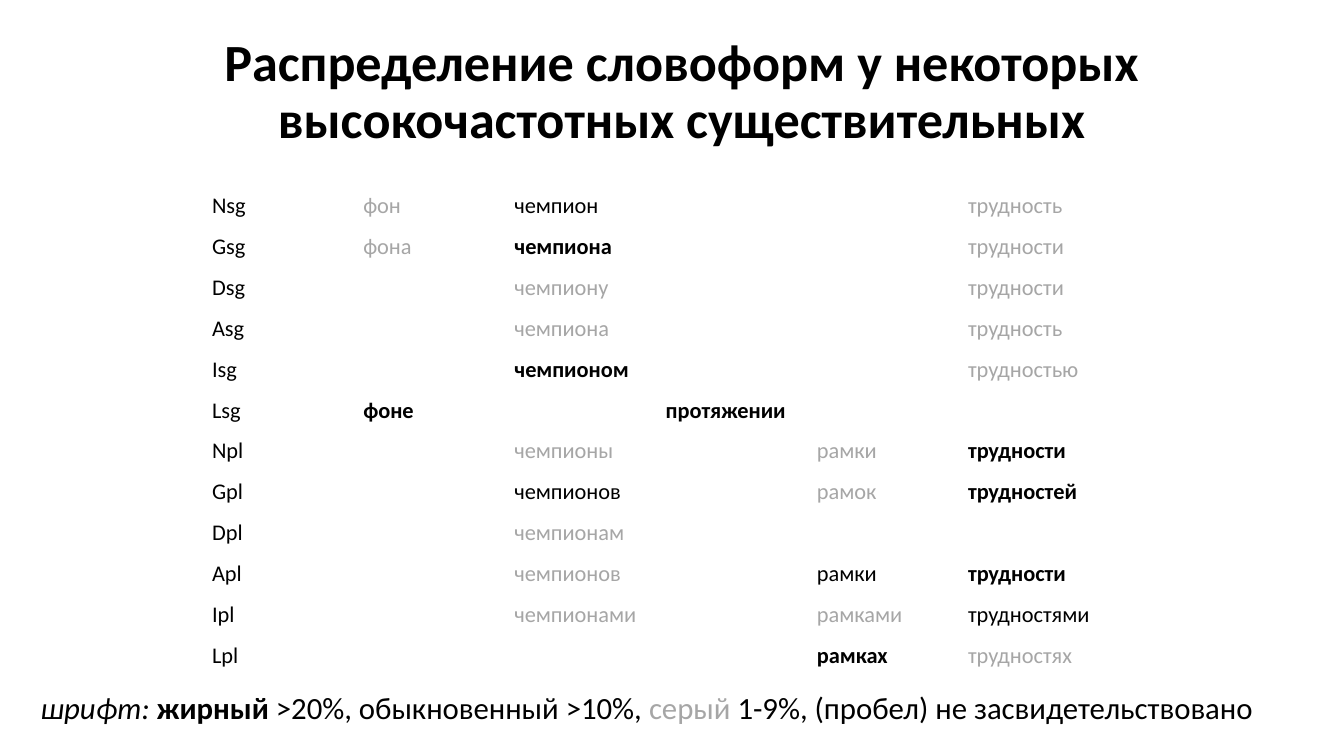
"""Builds a slide with the distribution of word forms of some frequent Russian nouns."""
from pptx import Presentation
from pptx.dml.color import RGBColor
from pptx.enum.text import MSO_ANCHOR as Anchor, PP_ALIGN as Align
from pptx.util import Pt

BLACK = RGBColor(0x00, 0x00, 0x00)
GREY = RGBColor(0xA6, 0xA6, 0xA6)
FONT = "Calibri"
PX = 9525

PLAIN = {}
BOLD = {"bold": True}
RARE = {"color": GREY}
ITALIC = {"italic": True}

TITLE = "Распределение словоформ у некоторых высокочастотных существительных"
FON, CHAMPION, EXTENT, FRAME, DIFFICULTY = range(1, 6)
FORMS = [
    ("Nsg", {FON: ("фон", RARE), CHAMPION: ("чемпион", PLAIN), DIFFICULTY: ("трудность", RARE)}),
    ("Gsg", {FON: ("фона", RARE), CHAMPION: ("чемпиона", BOLD), DIFFICULTY: ("трудности", RARE)}),
    ("Dsg", {CHAMPION: ("чемпиону", RARE), DIFFICULTY: ("трудности", RARE)}),
    ("Asg", {CHAMPION: ("чемпионa", RARE), DIFFICULTY: ("трудность", RARE)}),
    ("Isg", {CHAMPION: ("чемпионом", BOLD), DIFFICULTY: ("трудностью", RARE)}),
    ("Lsg", {FON: ("фоне", BOLD), EXTENT: ("протяжении", BOLD)}),
    ("Npl", {CHAMPION: ("чемпионы", RARE), FRAME: ("рамки", RARE), DIFFICULTY: ("трудности", BOLD)}),
    ("Gpl", {CHAMPION: ("чемпионов", PLAIN), FRAME: ("рамок", RARE), DIFFICULTY: ("трудностей", BOLD)}),
    ("Dpl", {CHAMPION: ("чемпионам", RARE)}),
    ("Apl", {CHAMPION: ("чемпионов", RARE), FRAME: ("рамки", PLAIN), DIFFICULTY: ("трудности", BOLD)}),
    ("Ipl", {CHAMPION: ("чемпионами", RARE), FRAME: ("рамками", RARE), DIFFICULTY: ("трудностями", PLAIN)}),
    ("Lpl", {FRAME: ("рамках", BOLD), DIFFICULTY: ("трудностях", RARE)}),
]
LEGEND = [
    ("шрифт: ", ITALIC),
    ("жирный", BOLD),
    (" >20%, обыкновенный >10%, ", PLAIN),
    ("серый ", RARE),
    ("1-9%, (пробел) не засвидетельствовано", PLAIN),
]

COLUMNS = 6
COLUMN_WIDTH, ROW_HEIGHT = 144, 39
TABLE_LEFT, TABLE_TOP = 195, 183
CELL_MARGIN = 7


def scale(*lengths):
    return [length * PX for length in lengths]


def add_spans(para, spans, size):
    for text, style in spans:
        span = para.add_run()
        span.text = text
        span.font.name = FONT
        span.font.size = Pt(size)
        span.font.bold = style.get("bold", False)
        span.font.italic = style.get("italic", False)
        span.font.color.rgb = style.get("color", BLACK)


def add_text(page, place, spans, size, anchor=Anchor.TOP):
    frame = page.shapes.add_textbox(*scale(*place)).text_frame
    frame.word_wrap = True
    frame.vertical_anchor = anchor
    para = frame.paragraphs[0]
    add_spans(para, spans, size)
    return para


def add_forms(page):
    place = (TABLE_LEFT, TABLE_TOP, COLUMNS * COLUMN_WIDTH, len(FORMS) * ROW_HEIGHT)
    table = page.shapes.add_table(len(FORMS), COLUMNS, *scale(*place)).table
    table.first_row = False
    table.horz_banding = False
    for row, (label, words) in enumerate(FORMS):
        entries = {0: (label, PLAIN), **words}
        for column in range(COLUMNS):
            cell = table.cell(row, column)
            cell.fill.background()
            cell.margin_left = cell.margin_right = CELL_MARGIN * PX
            cell.margin_top = cell.margin_bottom = 0
            para = cell.text_frame.paragraphs[0]
            if column in entries:
                add_spans(para, [entries[column]], 16)
            else:
                para.font.size = Pt(16)


def main():
    deck = Presentation()
    deck.slide_width, deck.slide_height = scale(1280, 720)
    page = deck.slides.add_slide(deck.slide_layouts[6])
    add_forms(page)
    title = add_text(page, (71, 43, 1157, 91), [(TITLE, BOLD)], 37.3, Anchor.MIDDLE)
    title.alignment = Align.CENTER
    title.line_spacing = 0.9
    add_text(page, (29, 651, 1221, 45), LEGEND, 22)
    deck.save("out.pptx")


if __name__ == "__main__":
    main()
